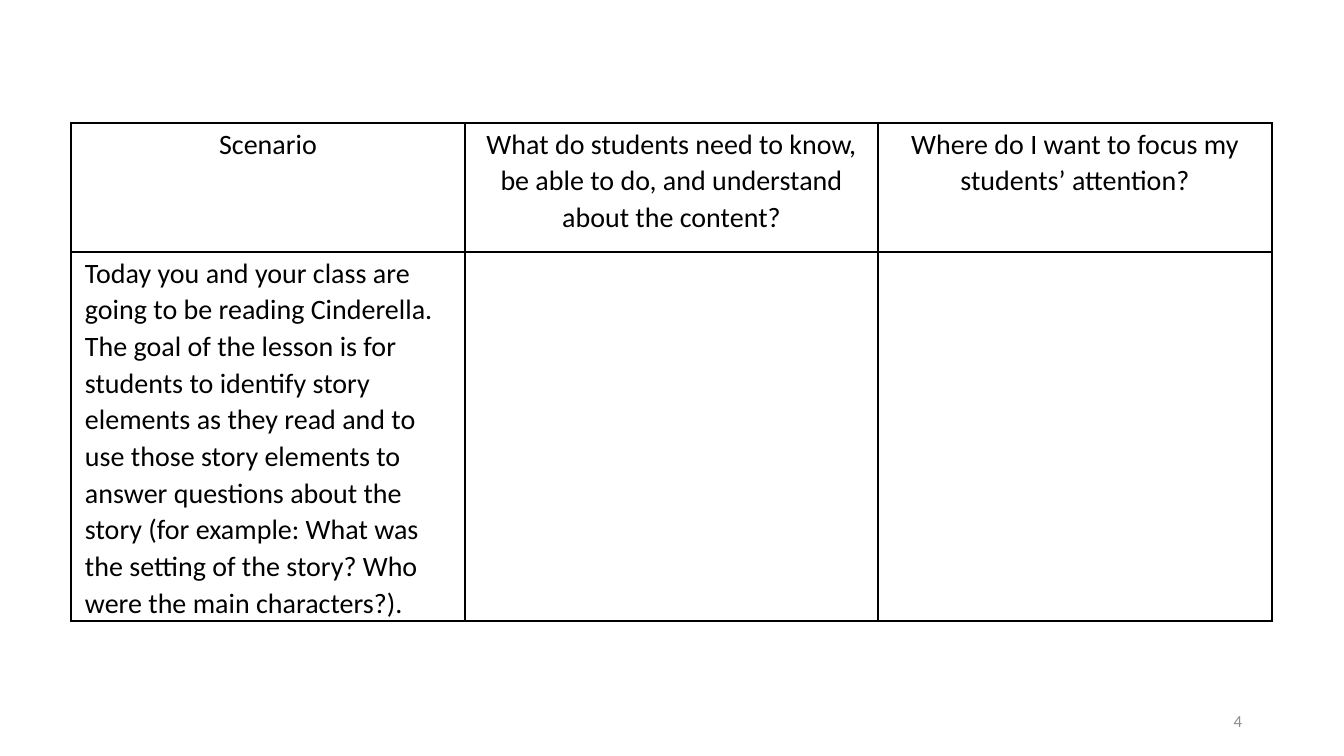
from dataclasses import dataclass

from lxml.etree import SubElement
from pptx import Presentation
from pptx.dml.color import RGBColor
from pptx.enum.text import MSO_ANCHOR, PP_ALIGN
from pptx.oxml.ns import qn
from pptx.util import Emu, Pt

PX_PER_INCH = 100.8
FONT = "Calibri"
BLACK = "000000"
GRAY = "8C8C8C"
COLUMN_WIDTHS = (394, 413, 394)
ROW_HEIGHTS = (129, 369)


@dataclass(frozen=True)
class CellText:
    row: int
    col: int
    text: str
    align: PP_ALIGN


CELL_TEXTS = (
    CellText(0, 0, "Scenario", PP_ALIGN.CENTER),
    CellText(0, 1, "What do students need to know, be able to do, and understand "
                   "about the content?", PP_ALIGN.CENTER),
    CellText(0, 2, "Where do I want to focus my students’ attention?", PP_ALIGN.CENTER),
    CellText(1, 0, "Today you and your class are going to be reading Cinderella. "
                   "The goal of the lesson is for students to identify story elements "
                   "as they read and to use those story elements to answer questions "
                   "about the story (for example: What was the setting of the story? "
                   "Who were the main characters?).", PP_ALIGN.LEFT),
)


def px(n: int) -> Emu:
    return Emu(round(n * 914400 / PX_PER_INCH))


def color(value: str) -> RGBColor:
    return RGBColor.from_string(value)


def style_paragraph(p, size: int, font_color: str, align: PP_ALIGN) -> None:
    p.alignment = align
    p.space_after = Pt(6)
    p.font.name = FONT
    p.font.size = Pt(size)
    p.font.color.rgb = color(font_color)


def format_cell(cell) -> None:
    cell.margin_left = cell.margin_right = px(14)
    cell.margin_top = px(2)
    cell.margin_bottom = px(0)
    tcPr = cell._tc.get_or_add_tcPr()
    for side in ("a:lnL", "a:lnR", "a:lnT", "a:lnB"):
        ln = SubElement(tcPr, qn(side), w=str(Pt(1)))
        fill = SubElement(ln, qn("a:solidFill"))
        SubElement(fill, qn("a:srgbClr"), val=BLACK)
    cell.fill.background()


def add_scenario_table(s) -> None:
    frame = s.shapes.add_table(
        len(ROW_HEIGHTS), len(COLUMN_WIDTHS), px(71), px(123),
        px(sum(COLUMN_WIDTHS)), px(sum(ROW_HEIGHTS)))
    table = frame.table
    table.first_row = table.horz_banding = False
    for column, width in zip(table.columns, COLUMN_WIDTHS):
        column.width = px(width)
    for row, height in zip(table.rows, ROW_HEIGHTS):
        row.height = px(height)
    for cell in table.iter_cells():
        format_cell(cell)
    for item in CELL_TEXTS:
        p = table.cell(item.row, item.col).text_frame.paragraphs[0]
        p.text = item.text
        p.line_spacing = 1.07
        style_paragraph(p, 20, BLACK, item.align)


def add_slide_number(s, number: str) -> None:
    sp = s.shapes.add_textbox(px(950), px(701), px(302), px(40))
    tf = sp.text_frame
    tf.word_wrap = True
    tf.vertical_anchor = MSO_ANCHOR.MIDDLE
    p = tf.paragraphs[0]
    p.text = number
    style_paragraph(p, 12, GRAY, PP_ALIGN.RIGHT)


def main() -> None:
    prs = Presentation()
    prs.slide_width = px(1344)
    prs.slide_height = px(756)
    s = prs.slides.add_slide(prs.slide_layouts[6])
    add_slide_number(s, "4")
    add_scenario_table(s)
    prs.save("out.pptx")


if __name__ == "__main__":
    main()
